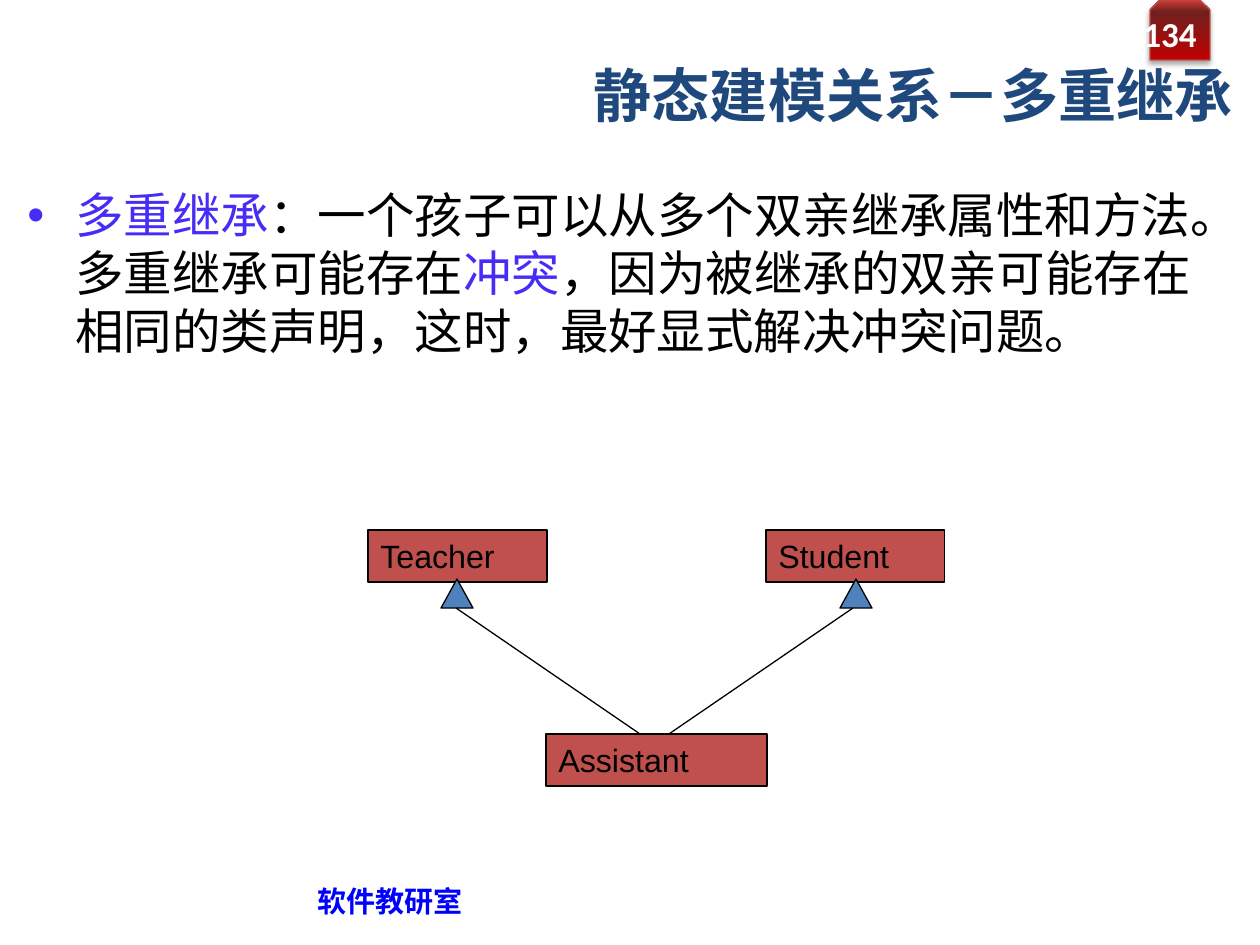
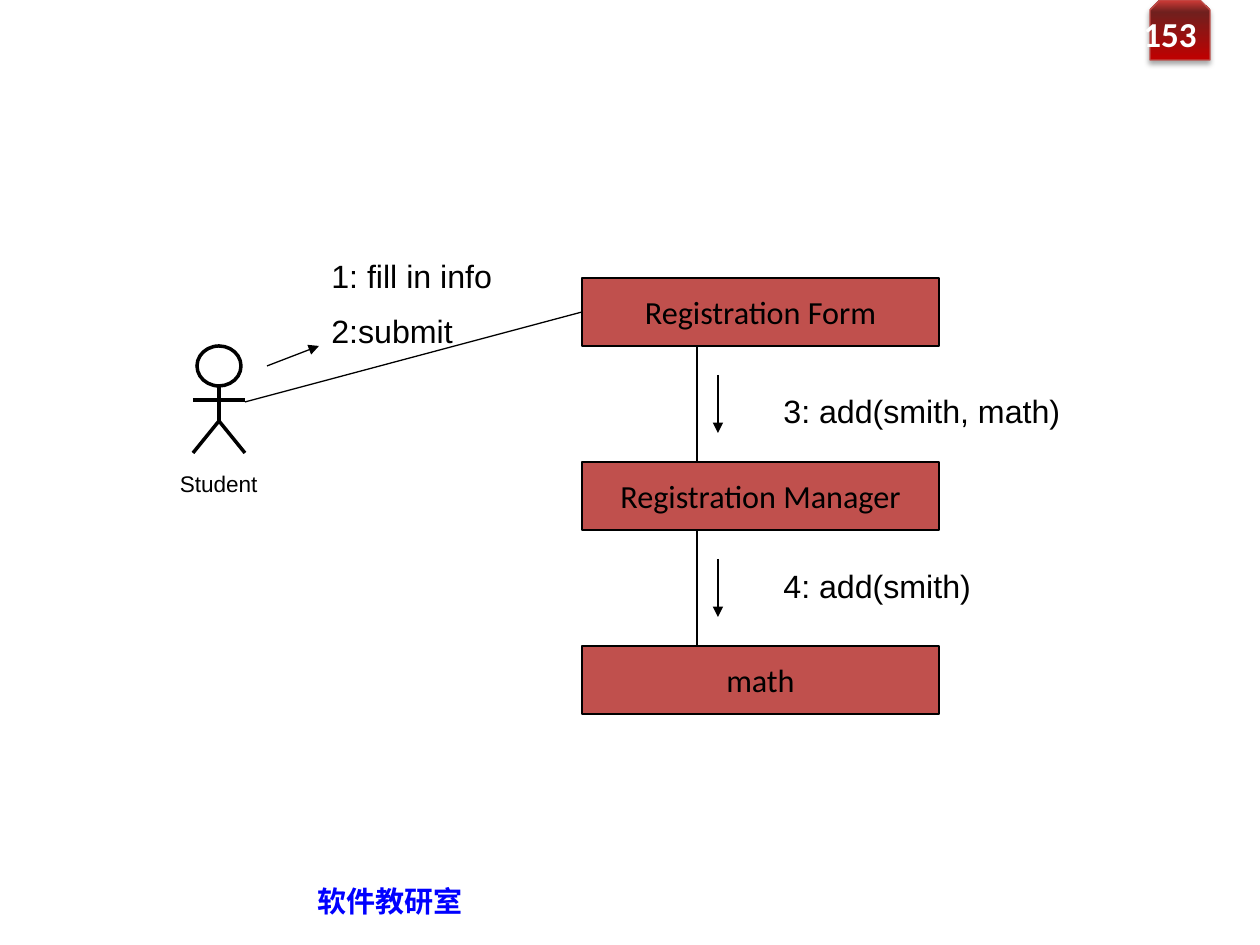
import copy

import lxml.etree
import pptx
import pptx.dml.color
import pptx.enum.dml
import pptx.enum.shapes
import pptx.enum.text
import pptx.oxml
import pptx.oxml.ns
import pptx.util

PIXEL = 7257
COLORS = {
    "black": "000000", "white": "FFFFFF", "title": "1F497D", "accent": "452DF5",
    "footer": "0000FF", "box": "C0504D", "triangle": "4F81BD", "tab_line": "BF4C48",
    "tab_low": "C00000", "tab_dark": "70201E", "tab_high": "CE3B37",
}
RGB = {name: pptx.dml.color.RGBColor.from_string(code) for name, code in COLORS.items()}
SHAPE = pptx.enum.shapes.MSO_SHAPE
ALIGN = pptx.enum.text.PP_ALIGN
ANCHOR = pptx.enum.text.MSO_ANCHOR
qn = pptx.oxml.ns.qn


def write(shape, text, size, font="Arial", color="black", bold=False, align=ALIGN.LEFT, wrap=True):
    frame = shape.text_frame
    frame.text = text
    frame.word_wrap = wrap
    frame.vertical_anchor = ANCHOR.MIDDLE
    for para in frame.paragraphs:
        para.alignment = align
        for span in para.runs:
            span.font.name = font
            span.font.size = pptx.util.Pt(size)
            span.font.bold = bold
            span.font.color.rgb = RGB[color]


def connect(shapes, ends, width=0.75, arrow=False):
    line = shapes.add_connector(
        pptx.enum.shapes.MSO_CONNECTOR.STRAIGHT, *[end * PIXEL for end in ends])
    line.line.color.rgb = RGB["black"]
    line.line.width = pptx.util.Pt(width)
    properties = line._element.spPr
    if arrow:
        lxml.etree.SubElement(properties.find(qn("a:ln")), qn("a:tailEnd"), type="triangle")
    lxml.etree.SubElement(properties, qn("a:effectLst"))


deck = pptx.Presentation()
deck.slide_width = 1260 * PIXEL
deck.slide_height = 945 * PIXEL

for number in ("134", "153"):
    shapes = deck.slides.add_slide(deck.slide_layouts[6]).shapes
    tab = shapes.add_shape(
        SHAPE.SNIP_2_SAME_RECTANGLE, 1150 * PIXEL, 0, 60 * PIXEL, 60 * PIXEL)
    tab.line.color.rgb = RGB["tab_line"]
    tab.line.width = pptx.util.Pt(0.75)
    tab.fill.gradient()
    tab.fill.gradient_angle = 90
    stop_list = tab._element.spPr.find(".//" + qn("a:gsLst"))
    stop_list.append(copy.deepcopy(stop_list[-1]))
    tab_stops = [(0, "tab_low"), (0.8, "tab_dark"), (1, "tab_high")]
    for stop, (position, color) in zip(tab.fill.gradient_stops, tab_stops):
        stop.position = position
        stop.color.rgb = RGB[color]
    tab.shadow.inherit = False
    shadow = lxml.etree.SubElement(
        tab._element.spPr.find(qn("a:effectLst")), qn("a:outerShdw"),
        blurRad="39370", dist="22860", dir="5400000", rotWithShape="0")
    shade = lxml.etree.SubElement(shadow, qn("a:srgbClr"), val=COLORS["black"])
    lxml.etree.SubElement(shade, qn("a:alpha"), val="35000")

    page = shapes.add_textbox(1130 * PIXEL, 9 * PIXEL, 79 * PIXEL, 50 * PIXEL)
    write(page, number, 20, "Calibri", "white", True, ALIGN.RIGHT)
    footer = shapes.add_textbox(305 * PIXEL, 876 * PIXEL, 170 * PIXEL, 50 * PIXEL)
    write(footer, "软件教研室", 16.6, "Arial", "footer", True, wrap=False)

inheritance, collaboration = [slide.shapes for slide in deck.slides]

title = inheritance.add_textbox(500 * PIXEL, 58 * PIXEL, 746 * PIXEL, 73 * PIXEL)
write(title, "静态建模关系－多重继承", 33.2, "Calibri", "title", True, ALIGN.RIGHT)

body = inheritance.add_textbox(15 * PIXEL, 179 * PIXEL, 1231 * PIXEL, 194 * PIXEL)
body.text_frame.word_wrap = True
para = body.text_frame.paragraphs[0]
for text, color in [
    ("多重继承", "accent"),
    ("：一个孩子可以从多个双亲继承属性和方法。多重继承可能存在", "black"),
    ("冲突", "accent"),
    ("，因为被继承的双亲可能存在相同的类声明，这时，最好显式解决冲突问题。", "black"),
]:
    span = para.add_run()
    span.text = text
    span.font.name = "Calibri"
    span.font.size = pptx.util.Pt(27.7)
    span.font.color.rgb = RGB[color]
settings = para._p.get_or_add_pPr()
settings.set("marL", str(48 * PIXEL))
settings.set("indent", str(-48 * PIXEL))
lxml.etree.SubElement(settings, qn("a:buFont"), typeface="Arial")
lxml.etree.SubElement(settings, qn("a:buChar"), char="•")

for name, left, top, width in [
    ("Assistant", 546, 734, 221), ("Teacher", 368, 530, 179), ("Student", 766, 530, 179),
]:
    box = inheritance.add_shape(
        SHAPE.RECTANGLE, left * PIXEL, top * PIXEL, width * PIXEL, 52 * PIXEL)
    box.shadow.inherit = False
    box.fill.solid()
    box.fill.fore_color.rgb = RGB["box"]
    box.line.color.rgb = RGB["black"]
    box.line.width = pptx.util.Pt(0.75)
    write(box, name, 18.4)
    box.text_frame.vertical_anchor = ANCHOR.TOP

for left, start, end in [(441, 456, 640), (840, 853, 669)]:
    triangle = inheritance.add_shape(
        SHAPE.ISOSCELES_TRIANGLE, left * PIXEL, 579 * PIXEL, 32 * PIXEL, 29 * PIXEL)
    triangle.shadow.inherit = False
    triangle.fill.solid()
    triangle.fill.fore_color.rgb = RGB["triangle"]
    triangle.line.color.rgb = RGB["black"]
    triangle.line.width = pptx.util.Pt(0.75)
    connect(inheritance, (start, 608, end, 734))

actor = collaboration.add_group_shape().shapes
head = actor.add_shape(SHAPE.OVAL, 197 * PIXEL, 346 * PIXEL, 44 * PIXEL, 40 * PIXEL)
head.shadow.inherit = False
head.fill.background()
head.line.color.rgb = RGB["black"]
head.line.width = pptx.util.Pt(2)
for limb in [
    (219, 421, 193, 453), (219, 421, 245, 453), (219, 386, 219, 421), (193, 400, 245, 400),
]:
    connect(actor, limb, 2)
actor_name = collaboration.add_textbox(169 * PIXEL, 464 * PIXEL, 101 * PIXEL, 39 * PIXEL)
write(actor_name, "Student", 12.9, wrap=False)
actor_name.text_frame.margin_left = actor_name.text_frame.margin_right = 11 * PIXEL

connect(collaboration, (245, 402, 582, 312))
connect(collaboration, (267, 366, 319, 346), arrow=True)
for row, name in enumerate(["Registration Form", "Registration Manager", "math"]):
    top = 278 + 184 * row
    box = collaboration.add_shape(
        SHAPE.RECTANGLE, 582 * PIXEL, top * PIXEL, 357 * PIXEL, 68 * PIXEL)
    box.shadow.inherit = False
    box.fill.solid()
    box.fill.fore_color.rgb = RGB["box"]
    box.line.color.rgb = RGB["black"]
    box.line.width = pptx.util.Pt(1)
    write(box, name, 18.4, "Calibri", align=ALIGN.CENTER, wrap=False)
    if row < 2:
        connect(collaboration, (697, top + 68, 697, top + 184))
        connect(collaboration, (718, top + 97, 718, top + 155), arrow=True)

for text, left, top, width, height in [
    ("1: fill in info\n2:submit", 319, 250, 202, 111),
    ("3: add(smith, math)", 771, 385, 357, 52),
    ("4: add(smith)", 771, 560, 357, 52),
]:
    message = collaboration.add_textbox(
        left * PIXEL, top * PIXEL, width * PIXEL, height * PIXEL)
    write(message, text, 18.4)
    message.text_frame.vertical_anchor = ANCHOR.TOP
    for para in message.text_frame.paragraphs[1:]:
        para.space_before = pptx.util.Pt(9.2)

deck.save("out.pptx")
